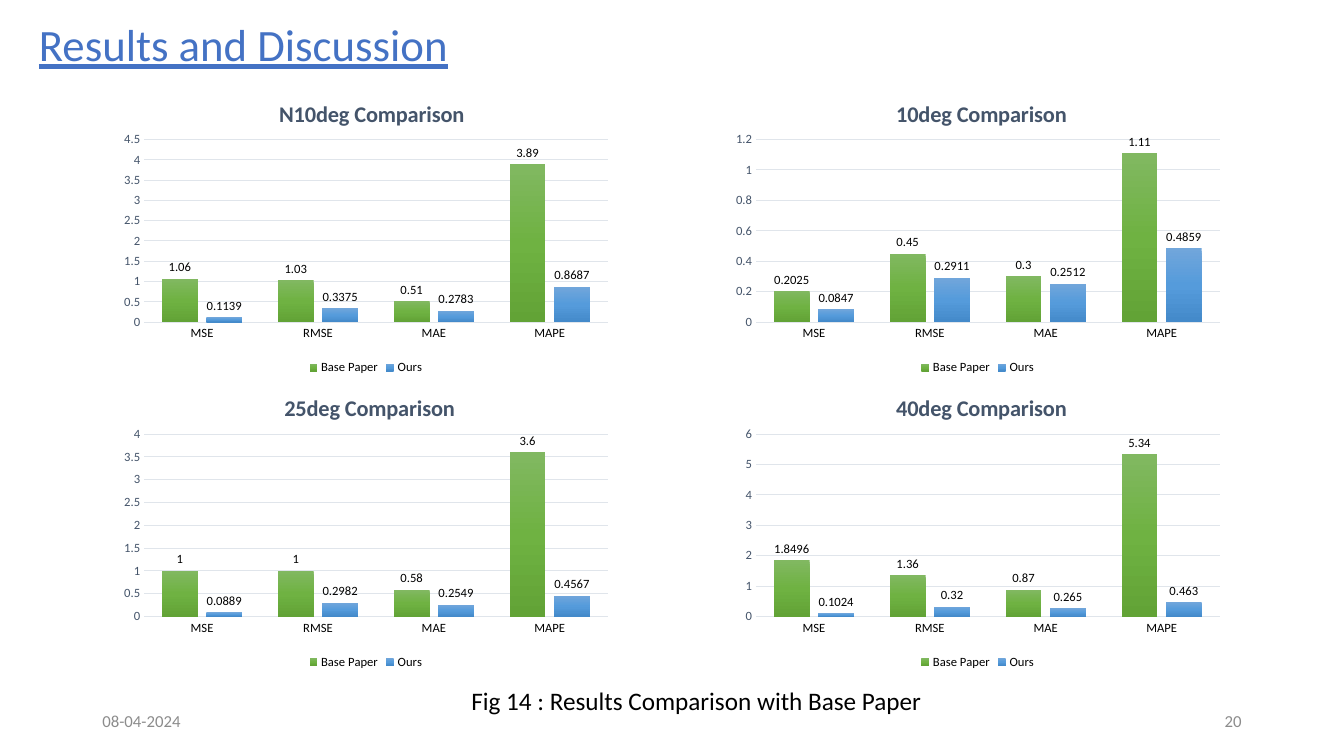
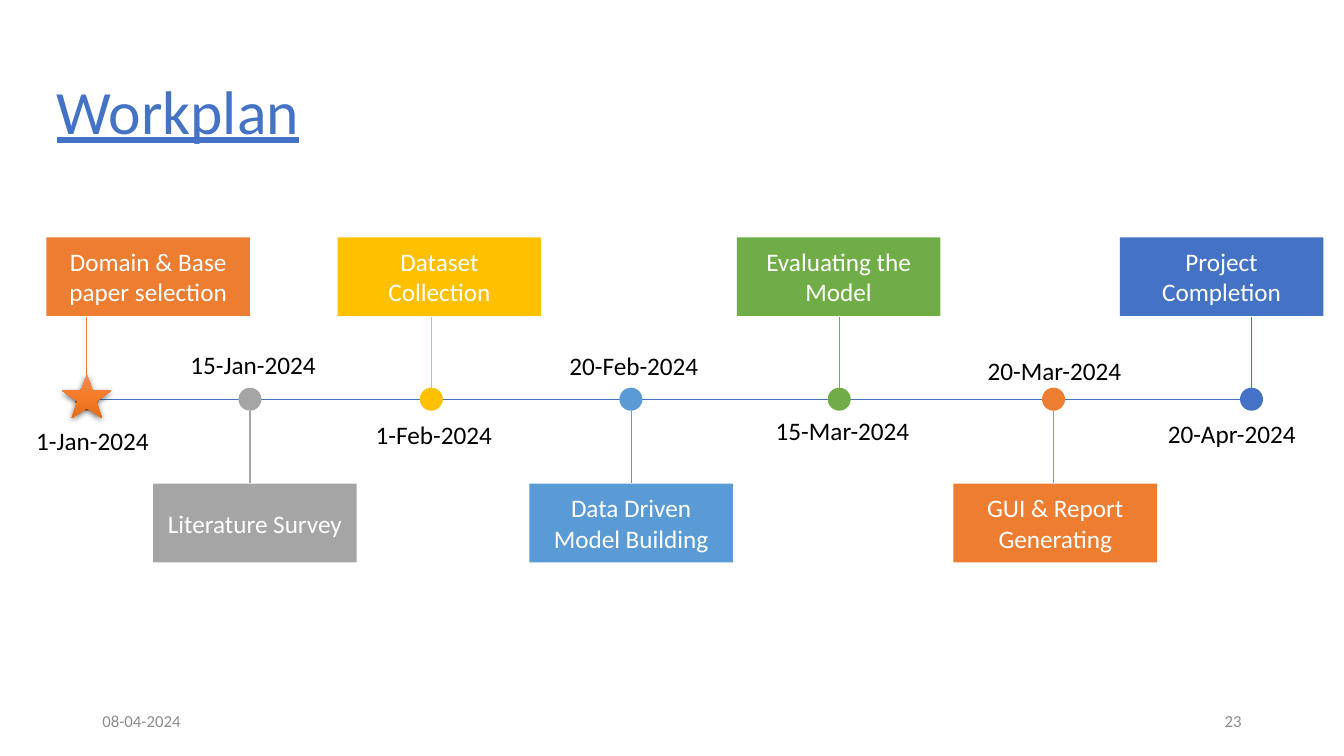
from dataclasses import dataclass

from lxml import etree
from pptx import Presentation
from pptx.chart.data import CategoryChartData
from pptx.dml.color import RGBColor
from pptx.enum.chart import XL_CHART_TYPE, XL_LABEL_POSITION, XL_LEGEND_POSITION, XL_TICK_MARK
from pptx.enum.shapes import MSO_CONNECTOR, MSO_SHAPE
from pptx.enum.text import MSO_ANCHOR, MSO_AUTO_SIZE, PP_ALIGN
from pptx.oxml import parse_xml
from pptx.oxml.ns import nsdecls, qn
from pptx.util import Cm, Pt

# Shared look
FONT = "Calibri"
BLUE, ORANGE, GREY, YELLOW = "4472C4", "ED7D31", "A5A5A5", "FFC000"
SKY, GREEN = "5B9BD5", "70AD47"
BLACK, WHITE, SLATE, FOOTER_GREY, GRID = "000000", "FFFFFF", "44546A", "8C8C8C", "E0E5EB"
GREEN_GRADIENT = ("81B861", "6FB242", "62A336")
SKY_GRADIENT = ("71A6DB", "559BDB", "448ACA")
ORANGE_GRADIENT = ("F18C57", "F67B28", "E56C19")
DATE = "08-04-2024"


@dataclass(frozen=True)
class Comparison:
    title: str
    base_paper: tuple[float, ...]
    ours: tuple[float, ...]
    maximum: float
    step: float


@dataclass(frozen=True)
class Milestone:
    task: str
    date: str
    color: str
    center: float
    box_left: float
    date_left: float
    date_top: float
    above: bool
    stem_width: float = 0.5


METRICS = ("MSE", "RMSE", "MAE", "MAPE")
COMPARISONS = (
    Comparison("N10deg Comparison", (1.06, 1.03, 0.51, 3.89),
               (0.1139, 0.3375, 0.2783, 0.8687), 4.5, 0.5),
    Comparison("10deg Comparison", (0.2025, 0.45, 0.3, 1.11),
               (0.0847, 0.2911, 0.2512, 0.4859), 1.2, 0.2),
    Comparison("25deg Comparison", (1, 1, 0.58, 3.6),
               (0.0889, 0.2982, 0.2549, 0.4567), 4, 0.5),
    Comparison("40deg Comparison", (1.8496, 1.36, 0.87, 5.34),
               (0.1024, 0.32, 0.265, 0.463), 6, 1),
)
MILESTONES = (
    Milestone("Domain & Base paper selection", "1-Jan-2024", ORANGE, 2.18, 1.17, 0.66, 10.59, True),
    Milestone("Literature Survey", "15-Jan-2024", GREY, 6.3, 3.86, 4.55, 8.69, False, 1.5),
    Milestone("Dataset Collection", "1-Feb-2024", YELLOW, 10.87, 8.51, 9.22, 10.44, True),
    Milestone("Data Driven Model Building", "20-Feb-2024", SKY, 15.9, 13.34, 14.1, 8.71, False),
    Milestone("Evaluating the Model", "15-Mar-2024", GREEN, 21.15, 18.57, 19.3, 10.34, True),
    Milestone("GUI & Report Generating", "20-Mar-2024", ORANGE, 26.55, 24.03, 24.64, 8.84, False),
    Milestone("Project Completion", "20-Apr-2024", BLUE, 31.54, 28.22, 29.18, 10.41, True),
)
AXIS_Y = 10.06
DOT = 0.58


def rgb(color: str) -> RGBColor:
    return RGBColor.from_string(color)


def style_font(font, size: float, color: str) -> None:
    font.name, font.size = FONT, Pt(size)
    font.color.rgb = rgb(color)


def set_gradient(properties, colors: tuple[str, ...]) -> None:
    """Swap a solid fill for a top-to-bottom gradient with even stops."""
    step = 100000 // (len(colors) - 1)
    stops = "".join(f'<a:gs pos="{i * step}"><a:srgbClr val="{color}"/></a:gs>'
                    for i, color in enumerate(colors))
    gradient = parse_xml(f'<a:gradFill {nsdecls("a")} rotWithShape="1"><a:gsLst>{stops}</a:gsLst>'
                         '<a:lin ang="5400000" scaled="0"/></a:gradFill>')
    properties.replace(properties.find(qn("a:solidFill")), gradient)


def add_text(slide, text: str, left: float, top: float, width: float, size: float,
             color: str = BLACK, align=PP_ALIGN.LEFT, anchor=MSO_ANCHOR.TOP) -> None:
    frame = slide.shapes.add_textbox(Cm(left), Cm(top), Cm(width), Cm(1.02)).text_frame
    frame.word_wrap, frame.vertical_anchor = True, anchor
    frame.text = text
    frame.paragraphs[0].alignment = align
    style_font(frame.paragraphs[0].font, size, color)


def add_filled(slide, preset, left: float, top: float, width: float, height: float, color: str):
    shape = slide.shapes.add_shape(preset, Cm(left), Cm(top), Cm(width), Cm(height))
    shape.shadow.inherit = False
    shape.fill.solid()
    shape.fill.fore_color.rgb = rgb(color)
    shape.line.fill.background()
    return shape


def add_line(slide, x1: float, y1: float, x2: float, y2: float, color: str, width: float) -> None:
    line = slide.shapes.add_connector(MSO_CONNECTOR.STRAIGHT, Cm(x1), Cm(y1), Cm(x2), Cm(y2))
    line.line.color.rgb, line.line.width = rgb(color), Pt(width)
    etree.SubElement(line._element.spPr, qn("a:effectLst"))


def add_slide(deck, title: str, number: int, left: float, top: float, width: float,
              height: float, size: float, align=PP_ALIGN.LEFT):
    """Title-only slide with the underlined title, date and number."""
    slide = deck.slides.add_slide(deck.slide_layouts[5])
    heading = slide.shapes.title
    heading.left, heading.top, heading.width, heading.height = map(Cm, (left, top, width, height))
    frame = heading.text_frame
    frame.text = title
    frame.word_wrap, frame.auto_size = True, MSO_AUTO_SIZE.NONE
    frame.vertical_anchor = MSO_ANCHOR.MIDDLE
    paragraph = frame.paragraphs[0]
    paragraph.alignment, paragraph.line_spacing = align, 0.9
    style_font(paragraph.font, size, BLUE)
    paragraph.font.underline = True
    add_text(slide, DATE, 2.33, 17.65, 7.62, 12, FOOTER_GREY, anchor=MSO_ANCHOR.MIDDLE)
    add_text(slide, str(number), 23.92, 17.65, 7.62, 12, FOOTER_GREY,
             PP_ALIGN.RIGHT, MSO_ANCHOR.MIDDLE)
    return slide


def set_layout(element, successor: str, **places) -> None:
    """Give a chart part a fixed place, as fractions of the chart."""
    for old in element.findall(qn("c:layout")):
        element.remove(old)
    values = "".join(f'<c:{key} val="{value}"/>' for key, value in places.items())
    layout = parse_xml(f'<c:layout {nsdecls("c")}><c:manualLayout>{values}'
                       '</c:manualLayout></c:layout>')
    element.find(qn(successor)).addprevious(layout)


def add_comparison(slide, comparison: Comparison, left: float, top: float) -> None:
    data = CategoryChartData(number_format="General")
    data.categories = METRICS
    data.add_series("Base Paper", comparison.base_paper)
    data.add_series("Ours", comparison.ours)
    chart = slide.shapes.add_chart(XL_CHART_TYPE.COLUMN_CLUSTERED, Cm(left), Cm(top),
                                   Cm(12.7), Cm(7.54), data).chart
    style_font(chart.font, 10, BLACK)

    # Title and plot area
    chart.has_title = True
    heading = chart.chart_title
    heading.text_frame.text = comparison.title
    title_font = heading.text_frame.paragraphs[0].font
    style_font(title_font, 16, SLATE)
    title_font.bold = True
    heading.include_in_layout = False
    set_layout(heading._element, "c:overlay", xMode="edge", yMode="edge",
               x=round(0.5 - 0.0106 * len(comparison.title), 2), y=0.05)
    set_layout(chart._chartSpace.chart.plotArea, "c:barChart", layoutTarget="inner",
               xMode="edge", yMode="edge", x=0.06, y=0.2, w=0.92, h=0.61)

    # Legend and axes
    chart.has_legend = True
    chart.legend.position = XL_LEGEND_POSITION.BOTTOM
    chart.legend.include_in_layout = False
    style_font(chart.legend.font, 9, BLACK)
    categories, values = chart.category_axis, chart.value_axis
    for axis, color in ((categories, BLACK), (values, SLATE)):
        axis.major_tick_mark = axis.minor_tick_mark = XL_TICK_MARK.NONE
        style_font(axis.tick_labels.font, 9, color)
    values.minimum_scale, values.maximum_scale = 0, comparison.maximum
    values.major_unit = comparison.step
    values.format.line.fill.background()
    for line in (categories.format.line, values.major_gridlines.format.line):
        line.color.rgb, line.width = rgb(GRID), Pt(0.75)

    # Columns and their labels
    plot = chart.plots[0]
    plot.gap_width, plot.overlap, plot.vary_by_categories = 100, -24, False
    for series, gradient in zip(plot.series, (GREEN_GRADIENT, SKY_GRADIENT)):
        series.format.fill.solid()
        series.format.fill.fore_color.rgb = rgb(gradient[1])
        set_gradient(series._element.find(qn("c:spPr")), gradient)
        labels = series.data_labels
        labels.show_value, labels.position = True, XL_LABEL_POSITION.OUTSIDE_END
        style_font(labels.font, 9, BLACK)


def add_milestone(slide, milestone: Milestone) -> None:
    box_top, stem = (5.98, (8, 9.78)) if milestone.above else (12.19, (12.17, 10.36))
    add_line(slide, milestone.center, stem[0], milestone.center, stem[1],
             milestone.color, milestone.stem_width)
    add_filled(slide, MSO_SHAPE.FLOWCHART_CONNECTOR, milestone.center - DOT / 2,
               AXIS_Y - DOT / 2, DOT, DOT, milestone.color)
    box = add_filled(slide, MSO_SHAPE.RECTANGLE, milestone.box_left, box_top,
                     5.13, 1.98, milestone.color)
    box.text_frame.text = milestone.task
    box.text_frame.word_wrap, box.text_frame.vertical_anchor = True, MSO_ANCHOR.MIDDLE
    paragraph = box.text_frame.paragraphs[0]
    paragraph.alignment = PP_ALIGN.CENTER
    style_font(paragraph.font, 18, WHITE)
    add_text(slide, milestone.date, milestone.date_left, milestone.date_top, 4.1, 18)


def add_start_star(slide) -> None:
    star = add_filled(slide, MSO_SHAPE.STAR_5_POINT, 1.57, 9.42, 1.24, 1.12, ORANGE)
    properties = star._element.spPr
    set_gradient(properties, ORANGE_GRADIENT)
    properties.find(qn("a:effectLst")).append(parse_xml(
        f'<a:outerShdw {nsdecls("a")} blurRad="{Pt(4.5)}" dist="{Pt(1.5)}" dir="5400000" '
        'algn="ctr" rotWithShape="0"><a:srgbClr val="000000"><a:alpha val="63000"/>'
        '</a:srgbClr></a:outerShdw>'))


def build_results(deck) -> None:
    slide = add_slide(deck, "Results and Discussion", 20, -0.53, 0.38, 13.34, 1.63, 32,
                      PP_ALIGN.CENTER)
    add_text(slide, "Fig 14 : Results Comparison with Base Paper", 11.63, 17.15, 12.5, 18)
    for index, comparison in enumerate(COMPARISONS):
        row, column = divmod(index, 2)
        add_comparison(slide, comparison, 2.87 + column * 15.42, 2.01 + row * 7.42)


def build_workplan(deck) -> None:
    slide = add_slide(deck, "Workplan", 23, 1.17, 1.04, 7.32, 3.68, 44)
    add_line(slide, MILESTONES[0].center, AXIS_Y, MILESTONES[-1].center, AXIS_Y, BLUE, 0.5)
    for milestone in MILESTONES:
        add_milestone(slide, milestone)
    add_start_star(slide)


def main() -> None:
    deck = Presentation()
    deck.slide_width, deck.slide_height = Cm(33.87), Cm(19.05)
    build_results(deck)
    build_workplan(deck)
    deck.save("out.pptx")


if __name__ == "__main__":
    main()
